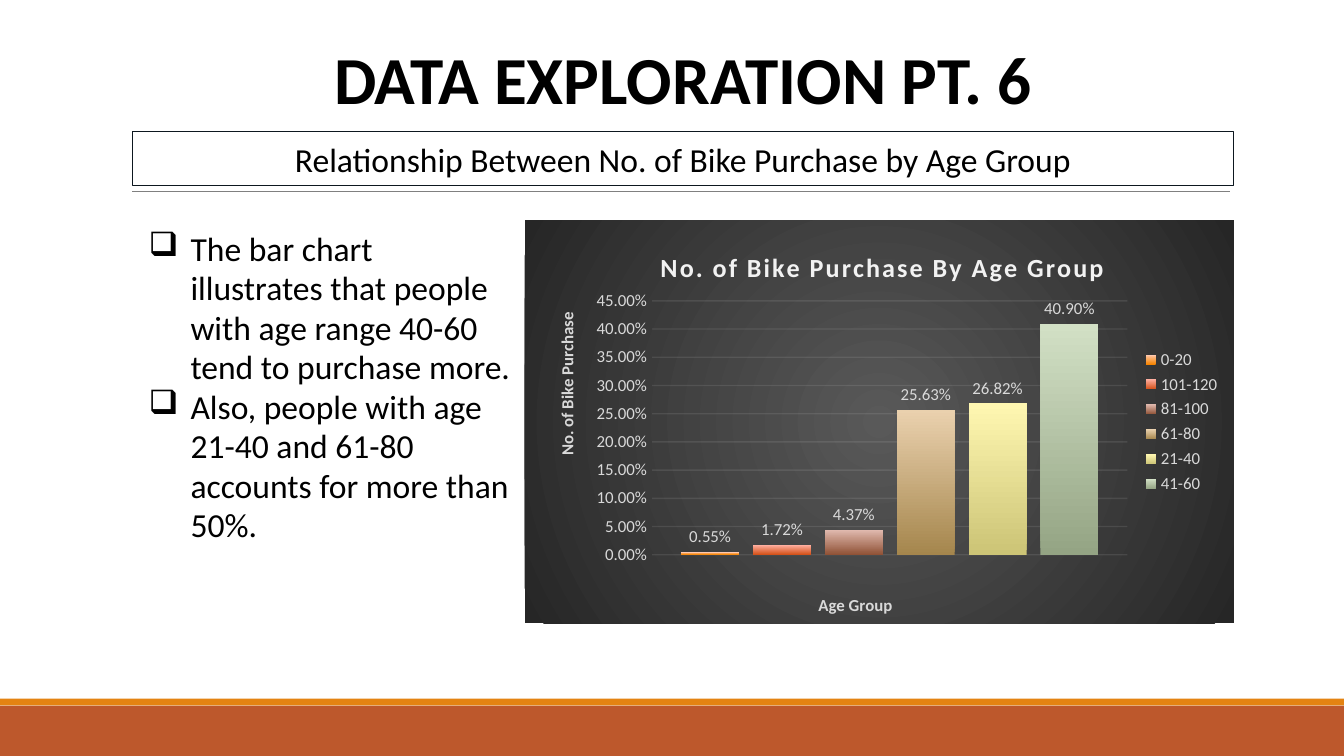
"""Build the bike purchase by age group slide."""
from lxml.etree import SubElement
from pptx import Presentation
from pptx.chart.data import CategoryChartData
from pptx.dml.color import RGBColor
from pptx.enum.chart import XL_CHART_TYPE, XL_LABEL_POSITION, XL_LEGEND_POSITION, XL_TICK_MARK
from pptx.enum.shapes import MSO_CONNECTOR, MSO_SHAPE
from pptx.enum.text import MSO_ANCHOR, PP_ALIGN
from pptx.oxml import parse_xml
from pptx.oxml.ns import nsdecls, qn
from pptx.util import Pt

COLORS = {"text": "000000", "band": "BD582C", "stripe": "E48312", "rule": "808080",
          "frame": "0D171F", "light": "D9D9D9", "bright": "F2F2F2"}
AGE_GROUPS = [("0-20", 0.0055, "F68400", "FFC9B0"), ("101-120", 0.0172, "D34F16", "FFAFA0"),
              ("81-100", 0.0437, "905236", "E0B9AE"), ("61-80", 0.2563, "A5864D", "EAD1AE"),
              ("21-40", 0.2682, "CCC476", "FFF7B1"), ("41-60", 0.409, "94A484", "D2E0C5")]
BACKDROP = ("595959", "262626")


class Deck:
    """Hold the style and the current slide."""

    def __init__(self, s, font="Calibri"):
        self.s, self.font = s, font

    def color(self, name):
        return RGBColor.from_string(COLORS[name])

    def style(self, font, size, color="text", bold=False):
        font.name, font.size, font.bold = self.font, Pt(size), bold
        font.color.rgb = self.color(color)

    def rect(self, x, y, w, h, fill=None, line=None):
        sp = self.s.shapes.add_shape(MSO_SHAPE.RECTANGLE, Pt(x), Pt(y), Pt(w), Pt(h))
        sp.shadow.inherit = False
        if fill:
            sp.fill.solid()
            sp.fill.fore_color.rgb = self.color(fill)
        else:
            sp.fill.background()
        if line:
            sp.line.color.rgb = self.color(line)
            sp.line.width = Pt(0.75)
        else:
            sp.line.fill.background()
        return sp

    def rule(self, x1, x2, y):
        ln = self.s.shapes.add_connector(MSO_CONNECTOR.STRAIGHT, Pt(x1), Pt(y), Pt(x2), Pt(y))
        ln.line.color.rgb = self.color("rule")
        ln.line.width = Pt(0.5)
        SubElement(ln.element.spPr, qn("a:effectLst"))

    def box(self, x, y, w, h):
        return self.s.shapes.add_textbox(Pt(x), Pt(y), Pt(w), Pt(h))

    def heading(self, sp, text, size, bold=False):
        tf = sp.text_frame
        tf.word_wrap, tf.vertical_anchor = True, MSO_ANCHOR.MIDDLE
        p = tf.paragraphs[0]
        p.text, p.alignment = text, PP_ALIGN.CENTER
        self.style(p.font, size, bold=bold)

    def bullets(self, sp, items, size):
        tf = sp.text_frame
        tf.word_wrap, tf.margin_top = True, Pt(5)
        for i, item in enumerate(items):
            p = tf.add_paragraph() if i else tf.paragraphs[0]
            p.text, p.line_spacing = item, 0.98
            self.style(p.font, size)
            pPr = p._p.get_or_add_pPr()
            pPr.set("marL", str(Pt(24)))
            pPr.set("indent", str(-Pt(22.5)))
            bullet = parse_xml(f'<a:buChar {nsdecls("a")} char="\u2751"/>')
            pPr.insert_element_before(bullet, "a:tabLst", "a:defRPr", "a:extLst")

    def gradient(self, spPr, colors, direction):
        stops = "".join(f'<a:gs pos="{i * 100000}"><a:srgbClr val="{c}"/></a:gs>'
                        for i, c in enumerate(colors))
        spPr.insert(0, parse_xml(f'<a:gradFill {nsdecls("a")}><a:gsLst>{stops}</a:gsLst>'
                                 f'{direction}</a:gradFill>'))

    def layout(self, parent, **place):
        for old in parent.findall(qn("c:layout")):
            parent.remove(old)
        modes = '<c:xMode val="edge"/><c:yMode val="edge"/>'
        target = '<c:layoutTarget val="inner"/>' if "w" in place else ""
        values = "".join(f'<c:{k} val="{v}"/>' for k, v in place.items())
        layout = parse_xml(f'<c:layout {nsdecls("c")}><c:manualLayout>{target}{modes}{values}'
                           '</c:manualLayout></c:layout>')
        tx = parent.find(qn("c:tx"))
        parent.insert(0 if tx is None else 1, layout)

    def chart_title(self, title, text, size, color, x, y):
        p = title.text_frame.paragraphs[0]
        p.text = text
        self.style(p.font, size, color, True)
        self.layout(title.text_frame._txBody.getparent().getparent(), x=x, y=y)
        return p

    def columns(self, x, y, w, h, groups):
        data = CategoryChartData(number_format="0.00%")
        data.categories = ["1"]
        for name, value, *_ in groups:
            data.add_series(name, [value])
        chart = self.s.shapes.add_chart(XL_CHART_TYPE.COLUMN_CLUSTERED, Pt(x), Pt(y),
                                        Pt(w), Pt(h), data).chart
        self.style(chart.font, 10)
        area = parse_xml(f'<c:spPr {nsdecls("c", "a")}><a:ln><a:noFill/></a:ln></c:spPr>')
        self.gradient(area, BACKDROP, '<a:path path="circle"><a:fillToRect l="50000" t="50000" '
                                      'r="50000" b="50000"/></a:path>')
        chart.element.find(qn("c:chart")).addnext(area)
        plot = chart.plots[0]
        plot.gap_width, plot.overlap, plot.vary_by_categories = 100, -24, False
        for ser, (_, _, *colors) in zip(plot.series, groups):
            self.gradient(ser._element.get_or_add_spPr(), colors, '<a:lin ang="16200000" scaled="0"/>')
            labels = ser.data_labels
            labels.show_value, labels.position = True, XL_LABEL_POSITION.OUTSIDE_END
            labels.number_format, labels.number_format_is_linked = "0.00%", False
            self.style(labels.font, 9, "light")
        self.value_axis(chart.value_axis)
        chart.category_axis.visible = False
        self.chart_title(chart.category_axis.axis_title, "Age Group", 9, "light", 0.41, 0.92)
        p = self.chart_title(chart.chart_title, "No. of Bike Purchase By Age Group", 14, "bright",
                             0.185, 0.06)
        p.runs[0].font._element.set("spc", "100")
        chart.has_legend = True
        chart.legend.position = XL_LEGEND_POSITION.RIGHT
        chart.legend.include_in_layout = False
        self.style(chart.legend.font, 9, "light")
        plot_area = chart.element.find(".//" + qn("c:plotArea"))
        self.layout(plot_area, x=0.18, y=0.2, w=0.67, h=0.63)

    def value_axis(self, axis):
        axis.minimum_scale, axis.maximum_scale, axis.major_unit = 0, 0.45, 0.05
        axis.major_tick_mark = axis.minor_tick_mark = XL_TICK_MARK.NONE
        axis.tick_labels.number_format = "0.00%"
        axis.tick_labels.number_format_is_linked = False
        self.style(axis.tick_labels.font, 9, "light")
        axis.format.line.fill.background()
        grid = axis.major_gridlines.format.line
        grid.color.rgb, grid.width = self.color("bright"), Pt(0.75)
        rgb = axis.major_gridlines._xAx.find(qn("c:majorGridlines")).find(".//" + qn("a:srgbClr"))
        SubElement(rgb, qn("a:alpha"), val="10000")
        self.chart_title(axis.axis_title, "No. of Bike Purchase", 9, "light", 0.04, 0.22)
        body = axis.axis_title.text_frame._txBody.find(qn("a:bodyPr"))
        body.set("rot", "-5400000")
        body.set("vert", "horz")


prs = Presentation()
prs.slide_width, prs.slide_height = Pt(720), Pt(405)
deck = Deck(prs.slides.add_slide(prs.slide_layouts[6]))
deck.rect(0, 378, 720, 27, fill="band")
deck.rect(0, 374.25, 720, 3.75, fill="stripe")
deck.rule(70.8, 658.8, 102.75)
deck.heading(deck.box(71, 12.5, 590, 58), "DATA EXPLORATION PT. 6", 36, True)
deck.heading(deck.rect(71, 70.5, 590, 29, line="frame"),
             "Relationship Between No. of Bike Purchase by Age Group", 18)
deck.bullets(deck.box(71, 118, 210, 225),
             ["The bar chart illustrates that people with age range 40-60 tend to purchase more.",
              "Also, people with age 21-40 and 61-80 accounts for more than 50%."], 18)
deck.columns(281, 118, 380, 216, AGE_GROUPS)
prs.save("out.pptx")
